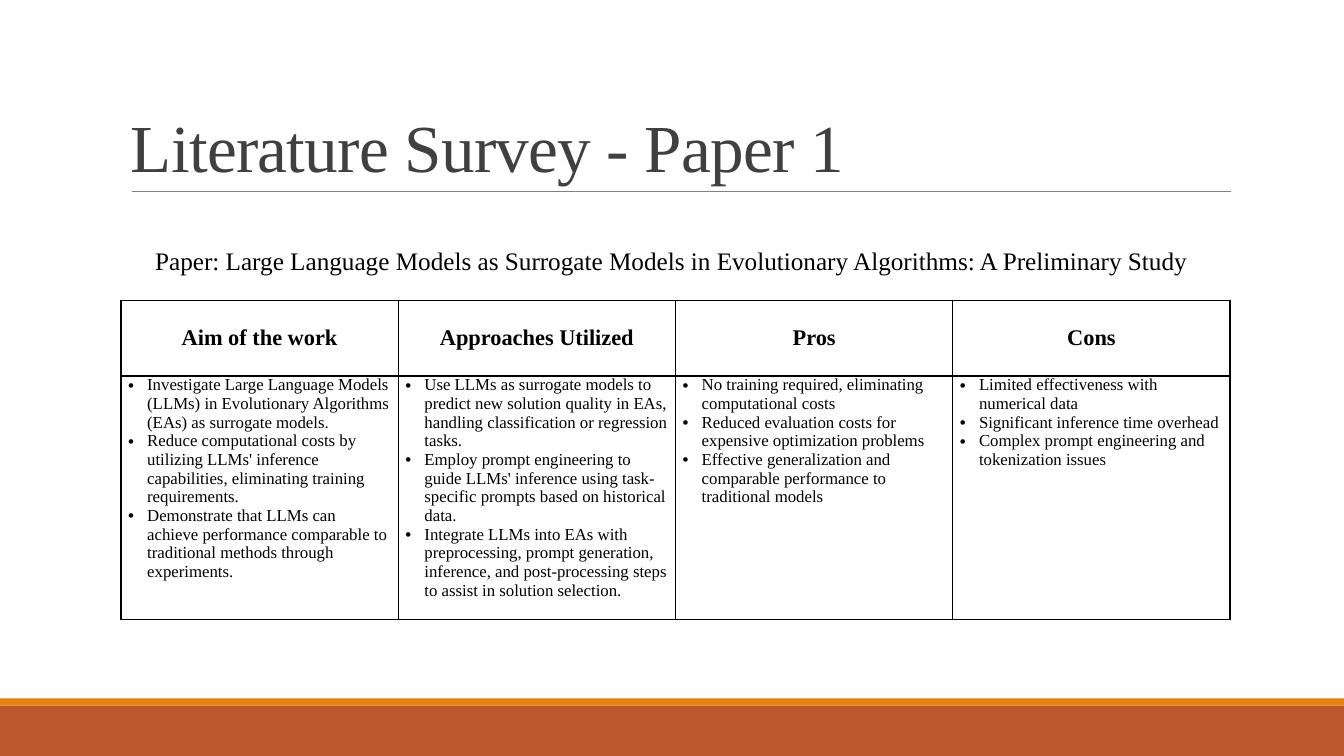
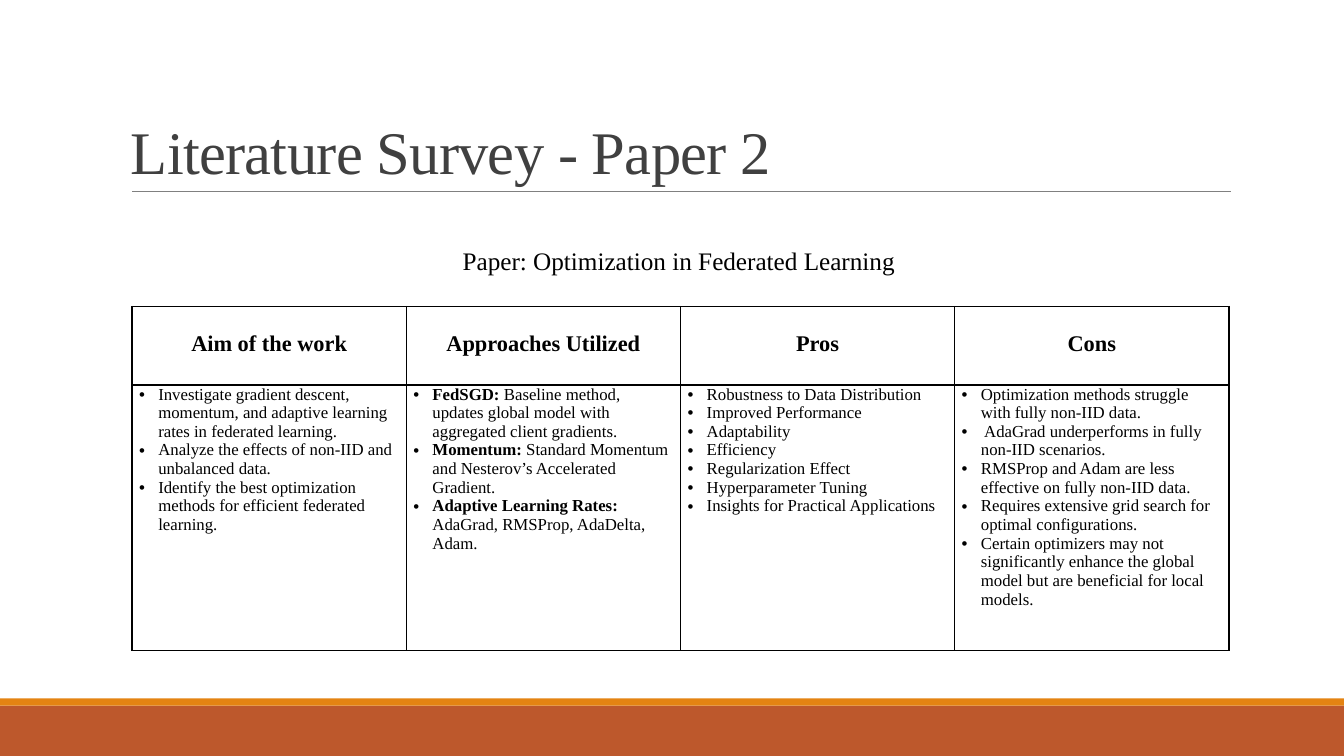
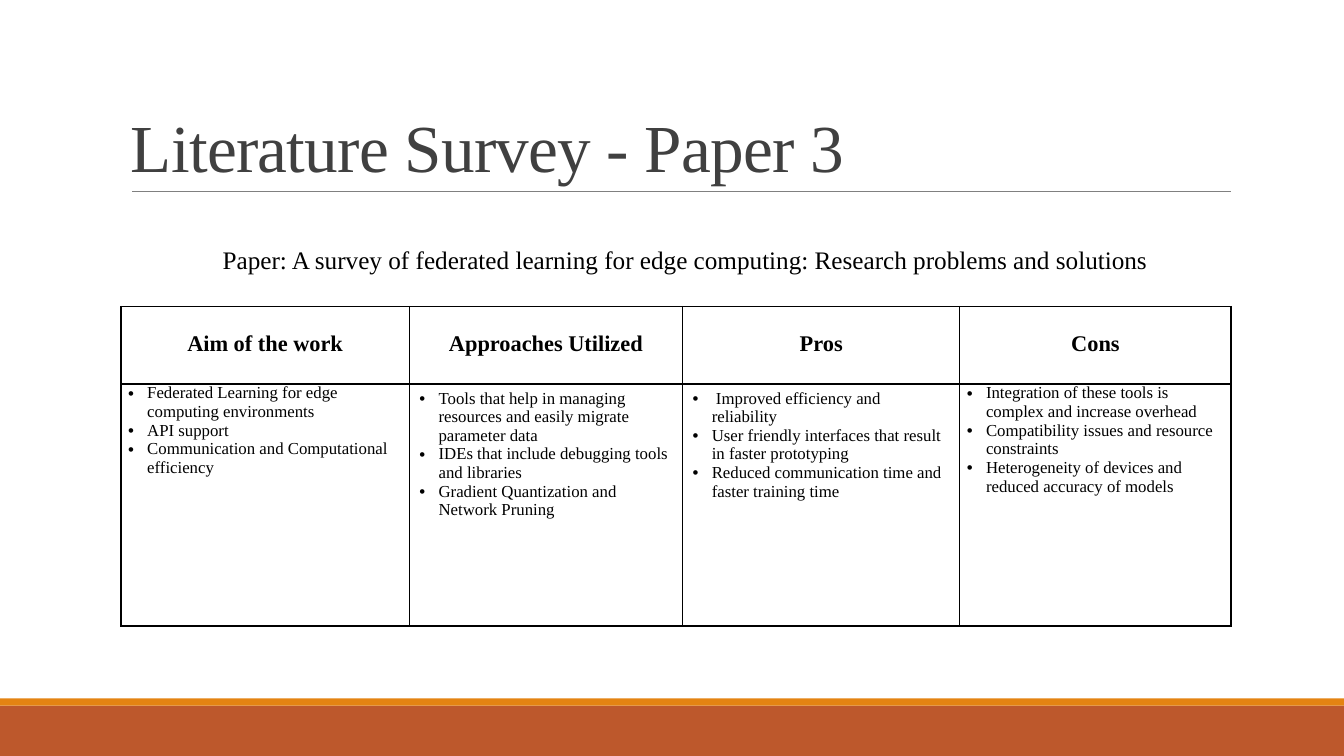
from lxml import etree
from pptx import Presentation
from pptx.dml.color import RGBColor
from pptx.enum import shapes, text
from pptx.oxml.ns import qn
from pptx.util import Inches, Pt

FONT = "Times New Roman"
BLACK = RGBColor(0, 0, 0)
WHITE = RGBColor(0xFF, 0xFF, 0xFF)
TITLE_GREY = RGBColor(0x40, 0x40, 0x40)
RULE_GREY = RGBColor(0x80, 0x80, 0x80)
RUST = RGBColor(0xBD, 0x58, 0x2C)
ORANGE = RGBColor(0xE4, 0x83, 0x12)

TIGHT = (0.07, 0)  # cell insets: sides, top and bottom
ROOMY = (0.1, 0.05)
HEADERS = ["Aim of the work", "Approaches Utilized", "Pros", "Cons"]

# One dict per paper; a (lead, rest) tuple is a bullet with a bold lead
PAPERS = [
    {
        "title": "Literature Survey - Paper 1", "title_size": 48,
        "paper": "Paper: Large Language Models as Surrogate Models in Evolutionary Algorithms: "
                 "A Preliminary Study",
        "paper_at": (1.44, 2.38, 10.61),
        "table_at": (1.2, 2.98), "columns": [2.75] * 4, "rows": [0.75, 2.42],
        "insets": [TIGHT] * 4,
        "bullets": [
            ["Investigate Large Language Models (LLMs) in Evolutionary Algorithms (EAs) as surrogate models.",
             "Reduce computational costs by utilizing LLMs' inference capabilities, eliminating training requirements.",
             "Demonstrate that LLMs can achieve performance comparable to traditional methods through experiments."],
            ["Use LLMs as surrogate models to predict new solution quality in EAs, handling classification or regression tasks.",
             "Employ prompt engineering to guide LLMs' inference using task-specific prompts based on historical data.",
             "Integrate LLMs into EAs with preprocessing, prompt generation, inference, and post-processing steps "
             "to assist in solution selection."],
            ["No training required, eliminating computational costs",
             "Reduced evaluation costs for expensive optimization problems",
             "Effective generalization and comparable performance to traditional models"],
            ["Limited effectiveness with numerical data",
             "Significant inference time overhead",
             "Complex prompt engineering and tokenization issues"],
        ],
    },
    {
        "title": "Literature Survey - Paper 2", "title_size": 43.2,
        "paper": "Paper: Optimization in Federated Learning",
        "paper_at": (4.49, 2.38, 4.54),
        "table_at": (1.31, 3.04), "columns": [2.72] * 4, "rows": [0.78, 2.63],
        "insets": [TIGHT] * 4,
        "bullets": [
            ["Investigate gradient descent, momentum, and adaptive learning rates in federated learning.",
             "Analyze the effects of non-IID and unbalanced data.",
             "Identify the best optimization methods for efficient federated learning."],
            [("FedSGD:", " Baseline method, updates global model with aggregated client gradients."),
             ("Momentum:", " Standard Momentum and Nesterov’s Accelerated Gradient."),
             ("Adaptive Learning Rates: ", "AdaGrad, RMSProp, AdaDelta, Adam.")],
            ["Robustness to Data Distribution", "Improved Performance", "Adaptability", "Efficiency",
             "Regularization Effect", "Hyperparameter Tuning", "Insights for Practical Applications"],
            ["Optimization methods struggle with fully non-IID data.",
             " AdaGrad underperforms in fully non-IID scenarios.",
             "RMSProp and Adam are less effective on fully non-IID data.",
             "Requires extensive grid search for optimal configurations.",
             "Certain optimizers may not significantly enhance the global model but are beneficial for local models."],
        ],
    },
    {
        "title": "Literature Survey - Paper 3", "title_size": 48,
        "paper": "Paper: A survey of federated learning for edge computing: Research problems and solutions",
        "paper_at": (2.11, 2.37, 9.6),
        "table_at": (1.2, 3.04), "columns": [2.86, 2.71, 2.75, 2.69], "rows": [0.77, 2.4],
        "insets": [TIGHT, ROOMY, ROOMY, TIGHT],
        "bullets": [
            ["Federated Learning for edge computing environments",
             "API support",
             "Communication and Computational efficiency"],
            ["Tools that help in managing resources and easily migrate parameter data",
             "IDEs that include debugging tools and libraries",
             "Gradient Quantization and Network Pruning"],
            [" Improved efficiency and reliability",
             "User friendly interfaces that result in faster prototyping",
             "Reduced communication time and faster training time"],
            ["Integration of these tools is complex and increase overhead",
             "Compatibility issues and resource constraints",
             "Heterogeneity of devices and reduced accuracy of models"],
        ],
    },
]


def style_run(run, size, color=BLACK, bold=False):
    run.font.name = FONT
    run.font.size = Pt(size)
    run.font.color.rgb = color
    run.font.bold = bold


def add_text(slide, content, left, top, width, height, size, color=BLACK):
    box = slide.shapes.add_textbox(Inches(left), Inches(top), Inches(width), Inches(height))
    box.text_frame.text = content
    run = box.text_frame.paragraphs[0].runs[0]
    style_run(run, size, color)
    return box.text_frame, run


def add_frame(slide):
    """Footer bands and the rule under the title."""
    for top, height, color in [(7, 0.5, RUST), (6.93, 0.07, ORANGE)]:
        band = slide.shapes.add_shape(shapes.MSO_SHAPE.RECTANGLE, 0, Inches(top),
                                      Inches(13.33), Inches(height))
        band.shadow.inherit = False
        band.fill.solid()
        band.fill.fore_color.rgb = color
        band.line.fill.background()
    rule = slide.shapes.add_connector(shapes.MSO_CONNECTOR.STRAIGHT, Inches(1.31), Inches(1.9),
                                      Inches(12.21), Inches(1.9))
    rule.line.color.rgb = RULE_GREY
    rule.line.width = Pt(0.5)
    etree.SubElement(rule.line._get_or_add_ln().getparent(), qn("a:effectLst"))


def add_title(slide, content, size):
    frame, run = add_text(slide, content, 1.2, 0.31, 11, 1.59, size, TITLE_GREY)
    frame.word_wrap = True
    frame.vertical_anchor = text.MSO_ANCHOR.BOTTOM
    frame.paragraphs[0].line_spacing = 0.85
    run.font._element.set("spc", "-50")


def set_borders(cell):
    properties = cell._tc.get_or_add_tcPr()
    for index, side in enumerate(("lnL", "lnR", "lnT", "lnB")):
        border = etree.Element(qn("a:" + side), w=str(Pt(1)))
        fill = etree.SubElement(border, qn("a:solidFill"))
        etree.SubElement(fill, qn("a:srgbClr"), val=str(BLACK))
        properties.insert(index, border)


def format_cell(cell, sides, top, bottom):
    cell.margin_left = cell.margin_right = Inches(sides)
    cell.margin_top, cell.margin_bottom = Inches(top), Inches(bottom)
    cell.fill.solid()
    cell.fill.fore_color.rgb = WHITE
    set_borders(cell)


def fill_header(cell, content):
    format_cell(cell, 0.07, 0.25, 0)
    cell.text_frame.text = content
    paragraph = cell.text_frame.paragraphs[0]
    paragraph.alignment = text.PP_ALIGN.CENTER
    style_run(paragraph.runs[0], 16, bold=True)


def fill_bullets(cell, bullets, inset):
    sides, ends = inset
    format_cell(cell, sides, ends, ends)
    frame = cell.text_frame
    for index, bullet in enumerate(bullets):
        paragraph = frame.add_paragraph() if index else frame.paragraphs[0]
        properties = paragraph._p.get_or_add_pPr()
        properties.set("marL", str(Inches(0.19)))
        properties.set("indent", str(-Inches(0.19)))
        etree.SubElement(properties, qn("a:buFont"), typeface="Arial")
        etree.SubElement(properties, qn("a:buChar"), char="•")
        lead, rest = bullet if isinstance(bullet, tuple) else ("", bullet)
        for part, bold in ((lead, True), (rest, False)):
            if part:
                run = paragraph.add_run()
                run.text = part
                style_run(run, 12, bold=bold)


def add_survey_table(slide, paper):
    left, top = paper["table_at"]
    columns, rows = paper["columns"], paper["rows"]
    table = slide.shapes.add_table(len(rows), len(columns), Inches(left), Inches(top),
                                   Inches(sum(columns)), Inches(sum(rows))).table
    table.first_row = table.horz_banding = False
    for row, height in zip(table.rows, rows):
        row.height = Inches(height)
    for index, width in enumerate(columns):
        table.columns[index].width = Inches(width)
        fill_header(table.cell(0, index), HEADERS[index])
        fill_bullets(table.cell(1, index), paper["bullets"][index], paper["insets"][index])


def main():
    presentation = Presentation()
    presentation.slide_width, presentation.slide_height = Inches(13.33), Inches(7.5)
    for paper in PAPERS:
        slide = presentation.slides.add_slide(presentation.slide_layouts[6])
        add_frame(slide)
        add_title(slide, paper["title"], paper["title_size"])
        add_survey_table(slide, paper)
        frame, _ = add_text(slide, paper["paper"], *paper["paper_at"], 0.4, 18)
        frame.word_wrap = False
    presentation.save("out.pptx")


if __name__ == "__main__":
    main()
